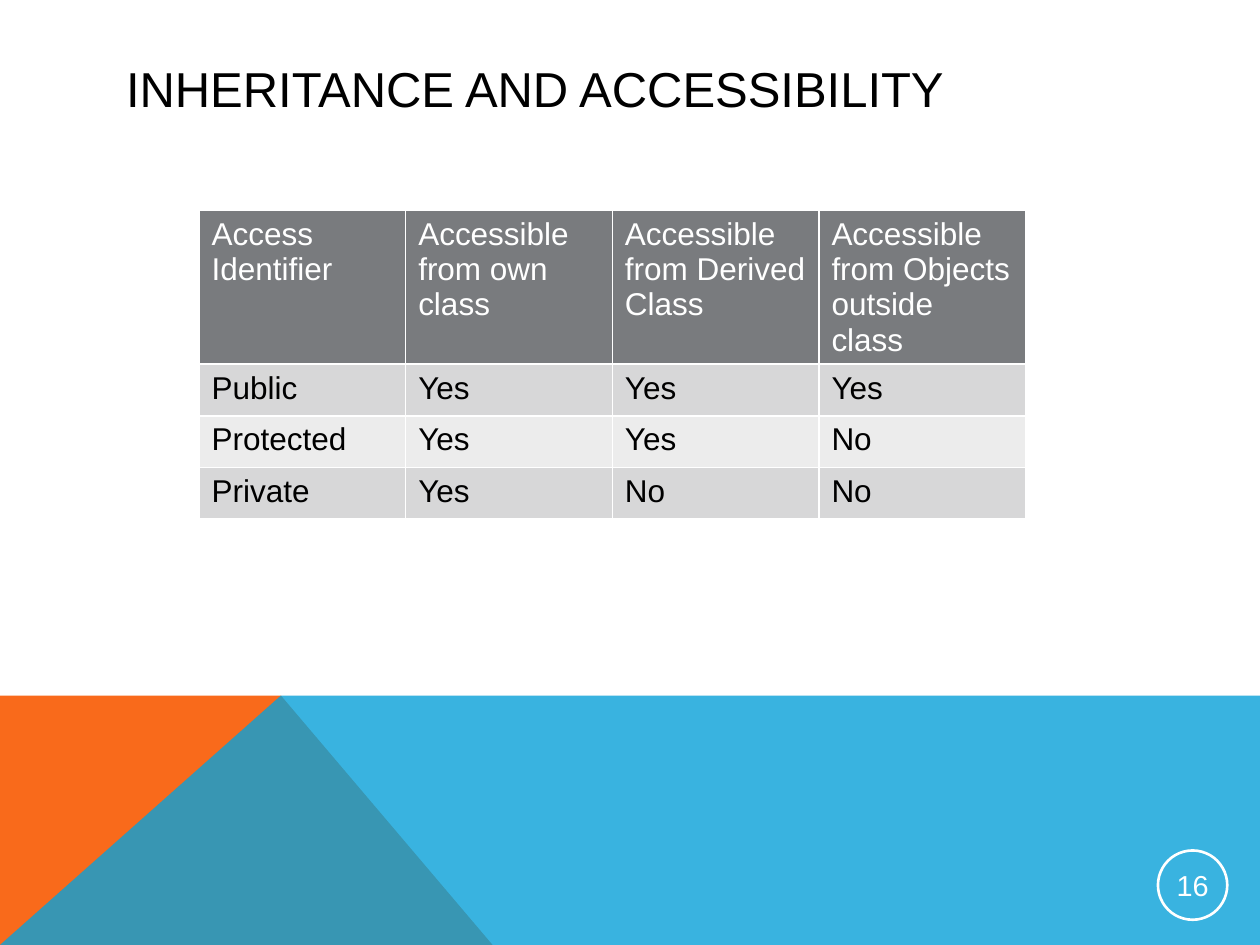
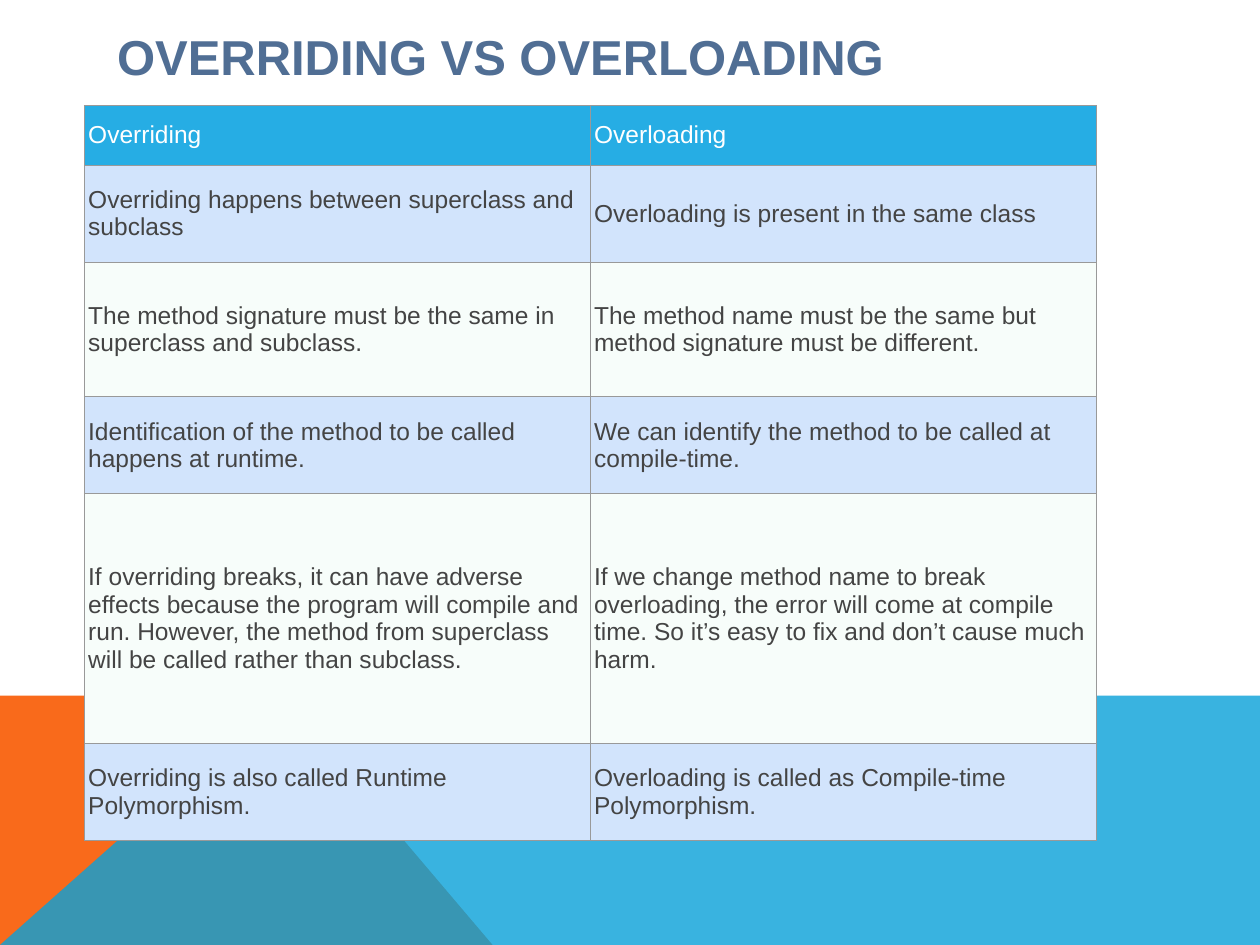
"""Build two table slides on inheritance and on overriding versus overloading."""
import pptx
import pptx.util
import pptx.dml.color
import pptx.enum.shapes
import pptx.enum.text
import pptx.oxml
import pptx.oxml.ns

Pt = pptx.util.Pt
RGB = pptx.dml.color.RGBColor
ANCHOR = pptx.enum.text.MSO_ANCHOR
ALIGN = pptx.enum.text.PP_ALIGN

FONT = "Arial"
WHITE = RGB(0xFF, 0xFF, 0xFF)
BLACK = RGB(0x00, 0x00, 0x00)
ORANGE = RGB(0xF9, 0x6A, 0x1B)
BLUE = RGB(0x08, 0xA1, 0xD9)
SLATE = RGB(0x50, 0x6E, 0x94)
GRAY = RGB(0x79, 0x7B, 0x7E)
GRAY_MID = RGB(0xD7, 0xD7, 0xD8)
GRAY_PALE = RGB(0xEC, 0xEC, 0xEC)
SKY = RGB(0x26, 0xAD, 0xE4)
SKY_PALE = RGB(0xD2, 0xE4, 0xFC)
MINT = RGB(0xF7, 0xFD, 0xFA)
RULE = RGB(0x99, 0x99, 0x99)
INK = RGB(0x44, 0x44, 0x44)

prs = pptx.Presentation()
prs.slide_width = pptx.util.Inches(10)
prs.slide_height = pptx.util.Inches(7.5)
COLS, ROWS = 1000, 750
UNIT = prs.slide_width // COLS
BAND_TOP, PEAK, FOOT = 552, 223, 391

bands = [
    {"color": ORANGE, "alpha": 100,
     "points": [(0, ROWS), (0, BAND_TOP), (PEAK, BAND_TOP), (FOOT, ROWS)]},
    {"color": BLUE, "alpha": 80,
     "points": [(0, ROWS), (PEAK, BAND_TOP), (COLS, BAND_TOP), (COLS, ROWS)]},
]

slides = [
    {
        "title": "INHERITANCE AND ACCESSIBILITY",
        "title_box": (90, 40, 822, 60),
        "title_font": {"color": BLACK, "bold": False},
        "table_at": (158, 167), "col_width": 164, "row_heights": [121, 41, 41, 41],
        "size": 18, "text": BLACK, "fills": [GRAY, GRAY_MID, GRAY_PALE],
        "border": (WHITE, 1), "cell": {},
        "rows": [
            ("Access Identifier", "Accessible from own class",
             "Accessible from Derived Class", "Accessible from Objects outside class"),
            ("Public", "Yes", "Yes", "Yes"),
            ("Protected", "Yes", "Yes", "No"),
            ("Private", "Yes", "No", "No"),
        ],
        "number": "16",
    },
    {
        "title": "OVERRIDING VS OVERLOADING",
        "title_box": (83, 16, 850, 56),
        "title_font": {"color": SLATE, "bold": True},
        "table_at": (67, 84), "col_width": 401.5,
        "row_heights": [47, 77, 107, 77, 198, 77],
        "size": 14, "text": INK, "fills": [SKY, SKY_PALE, MINT],
        "border": (RULE, 0.6),
        "cell": {"vertical_anchor": ANCHOR.MIDDLE,
                 "margin_left": 3 * UNIT, "margin_right": 3 * UNIT,
                 "margin_top": 6 * UNIT, "margin_bottom": 6 * UNIT},
        "rows": [
            ("Overriding", "Overloading"),
            ("Overriding happens between superclass and subclass",
             "Overloading is present in the same class"),
            ("The method signature must be the same in superclass and subclass.",
             "The method name must be the same but method signature must be different."),
            ("Identification of the method to be called happens at runtime.",
             "We can identify the method to be called at compile-time."),
            ("If overriding breaks, it can have adverse effects because the program will "
             "compile and run. However, the method from superclass will be called rather "
             "than subclass.",
             "If we change method name to break overloading, the error will come at compile "
             "time. So it’s easy to fix and don’t cause much harm."),
            ("Overriding is also called Runtime Polymorphism.",
             "Overloading is called as Compile-time Polymorphism."),
        ],
        "number": None,
    },
]


def grid(*cells):
    return [int(c * UNIT) for c in cells]


def write(tf, text, size, color, bold=False, align=ALIGN.LEFT):
    p = tf.paragraphs[0]
    p.alignment = align
    r = p.add_run()
    r.text = text
    for name, value in {"name": FONT, "size": Pt(size), "bold": bold}.items():
        setattr(r.font, name, value)
    r.font.color.rgb = color


for page in slides:
    s = prs.slides.add_slide(prs.slide_layouts[5])

    for band in bands:
        points = [grid(*point) for point in band["points"]]
        builder = s.shapes.build_freeform(*points[0])
        builder.add_line_segments(points[1:], close=True)
        sp = builder.convert_to_shape()
        sp.shadow.inherit = False
        sp.line.fill.background()
        sp.fill.solid()
        sp.fill.fore_color.rgb = band["color"]
        if band["alpha"] < 100:
            color = sp.fill._xPr.find(".//" + pptx.oxml.ns.qn("a:srgbClr"))
            color.append(pptx.oxml.parse_xml(
                f'<a:alpha {pptx.oxml.ns.nsdecls("a")} val="{band["alpha"] * 1000}"/>'))

    title = s.shapes.title
    title.left, title.top, title.width, title.height = grid(*page["title_box"])
    title.text_frame.vertical_anchor = ANCHOR.MIDDLE
    write(title.text_frame, page["title"], 28, **page["title_font"])

    n_rows, n_cols = len(page["rows"]), len(page["rows"][0])
    size = grid(n_cols * page["col_width"], sum(page["row_heights"]))
    table = s.shapes.add_table(n_rows, n_cols, *grid(*page["table_at"]), *size).table
    table.first_row = table.horz_banding = False
    for column in table.columns:
        column.width = int(page["col_width"] * UNIT)
    for row, height in zip(table.rows, page["row_heights"]):
        row.height = height * UNIT

    header_fill, *body_fills = page["fills"]
    line_color, line_width = page["border"]
    for i, texts in enumerate(page["rows"]):
        for j, text in enumerate(texts):
            cell = table.cell(i, j)
            for name, value in page["cell"].items():
                setattr(cell, name, value)
            tc_pr = cell._tc.get_or_add_tcPr()
            for side in "LRTB":
                tc_pr.append(pptx.oxml.parse_xml(
                    f'<a:ln{side} {pptx.oxml.ns.nsdecls("a")} w="{Pt(line_width)}">'
                    f'<a:solidFill><a:srgbClr val="{line_color}"/></a:solidFill></a:ln{side}>'))
            cell.fill.solid()
            cell.fill.fore_color.rgb = body_fills[(i - 1) % 2] if i else header_fill
            write(cell.text_frame, text, page["size"], page["text"] if i else WHITE)

    if page["number"]:
        sp = s.shapes.add_shape(pptx.enum.shapes.MSO_SHAPE.OVAL, *grid(919, 675, 55, 55))
        sp.shadow.inherit = False
        sp.fill.background()
        sp.line.color.rgb = WHITE
        sp.line.width = Pt(1.5)
        tf = sp.text_frame
        tf.vertical_anchor = ANCHOR.MIDDLE
        for side in ("left", "right", "top", "bottom"):
            setattr(tf, f"margin_{side}", UNIT)
        write(tf, page["number"], 16.5, WHITE, align=ALIGN.CENTER)

prs.save("out.pptx")
